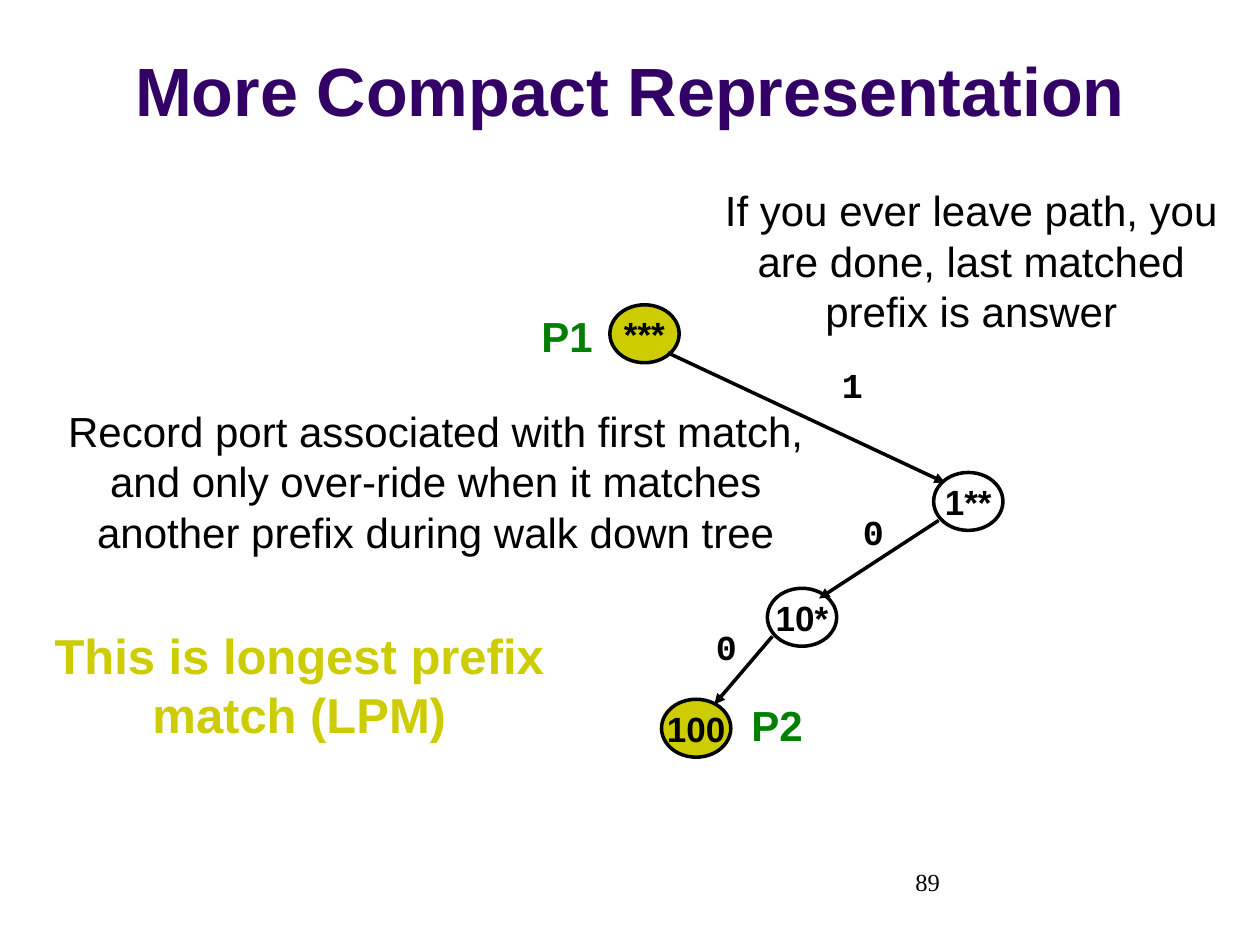
"""Build the slide on a compact prefix tree for longest prefix match."""
import pptx
import pptx.util
import pptx.dml.color
import pptx.enum.shapes
import pptx.enum.text
import pptx.oxml
import pptx.oxml.ns
from pptx.util import Pt

COLORS = {"black": "000000", "white": "FFFFFF", "purple": "330066",
          "olive": "CCCC00", "green": "008000"}
NODE_W, NODE_H, LINE_W = 39.6, 33.1, 2

STYLES = {
    "title": (39, "Arial", "purple", True),
    "body": (24, "Arial", "black", False),
    "claim": (28, "Arial", "olive", True),
    "port": (24, "Arial", "green", True),
    "bit": (20, "Courier New", "black", True),
    "node": (20, "Arial", "black", True),
    "number": (14, "Times New Roman", "black", False),
}
NODES = [
    ("***", 348.5, 174.2, "olive"),
    ("1**", 533.5, 270, "white"),
    ("10*", 438.5, 336.2, "white"),
    ("100", 378, 399.6, "olive"),
]
EDGES = [
    ((381.6, 201.6), (540, 275.8)),
    ((536.4, 297.4), (468, 342)),
    ((441.4, 363.6), (408.2, 402.5)),
]
TEXTS = [
    ("More Compact Representation", "title", 0, 9.4, 720, 68.4),
    ("If you ever leave path, you are done, last matched prefix is answer",
     "body", 402, 102, 306, 94.3),
    ("Record port associated with first match, and only over-ride when it "
     "matches another prefix during walk down tree", "body", 30, 228, 438, 94.3),
    ("This is longest prefix match (LPM)", "claim", 18, 354, 306, 75),
    ("P1", "port", 294, 174, 60, 36),
    ("P2", "port", 414, 396, 60, 36),
    ("1", "bit", 468, 204, 38.2, 31),
    ("0", "bit", 480, 288, 38.2, 31),
    ("0", "bit", 396, 354, 38.2, 31),
    ("89", "number", 516, 492, 168, 36),
]


def rgb(name):
    return pptx.dml.color.RGBColor.from_string(COLORS[name])


def write(tf, text, style):
    size, font, color, bold = STYLES[style]
    align = pptx.enum.text.PP_ALIGN
    p = tf.paragraphs[0]
    p.alignment = align.LEFT if style == "number" else align.CENTER
    r = p.add_run()
    r.text = text
    r.font.size, r.font.name, r.font.bold = Pt(size), font, bold
    r.font.color.rgb = rgb(color)


def add_node(s, text, x, y, fill):
    sp = s.shapes.add_shape(pptx.enum.shapes.MSO_SHAPE.OVAL,
                            Pt(x), Pt(y), Pt(NODE_W), Pt(NODE_H))
    sp.shadow.inherit = False
    sp.fill.solid()
    sp.fill.fore_color.rgb = rgb(fill)
    sp.line.color.rgb = rgb("black")
    sp.line.width = Pt(LINE_W)
    tf = sp.text_frame
    tf.word_wrap = False
    tf.vertical_anchor = pptx.enum.text.MSO_ANCHOR.MIDDLE
    write(tf, text, "node")


def add_edge(s, start, end):
    ln = s.shapes.add_connector(pptx.enum.shapes.MSO_CONNECTOR.STRAIGHT,
                                *(Pt(v) for v in start + end))
    ln.line.color.rgb = rgb("black")
    ln.line.width = Pt(LINE_W)
    tail = pptx.oxml.parse_xml(
        f'<a:tailEnd {pptx.oxml.ns.nsdecls("a")} type="triangle"/>')
    ln.line._get_or_add_ln().append(tail)
    ln._element.spPr.append(
        pptx.oxml.parse_xml(f'<a:effectLst {pptx.oxml.ns.nsdecls("a")}/>'))


def add_text(s, text, style, *box):
    tf = s.shapes.add_textbox(*(Pt(v) for v in box)).text_frame
    tf.word_wrap = True
    if style == "title":
        tf.vertical_anchor = pptx.enum.text.MSO_ANCHOR.BOTTOM
    write(tf, text, style)


prs = pptx.Presentation()
prs.slide_width, prs.slide_height = Pt(720), Pt(540)
s = prs.slides.add_slide(prs.slide_layouts[6])
for node in NODES:
    add_node(s, *node)
for edge in EDGES:
    add_edge(s, *edge)
for text in TEXTS:
    add_text(s, *text)
prs.save("out.pptx")
